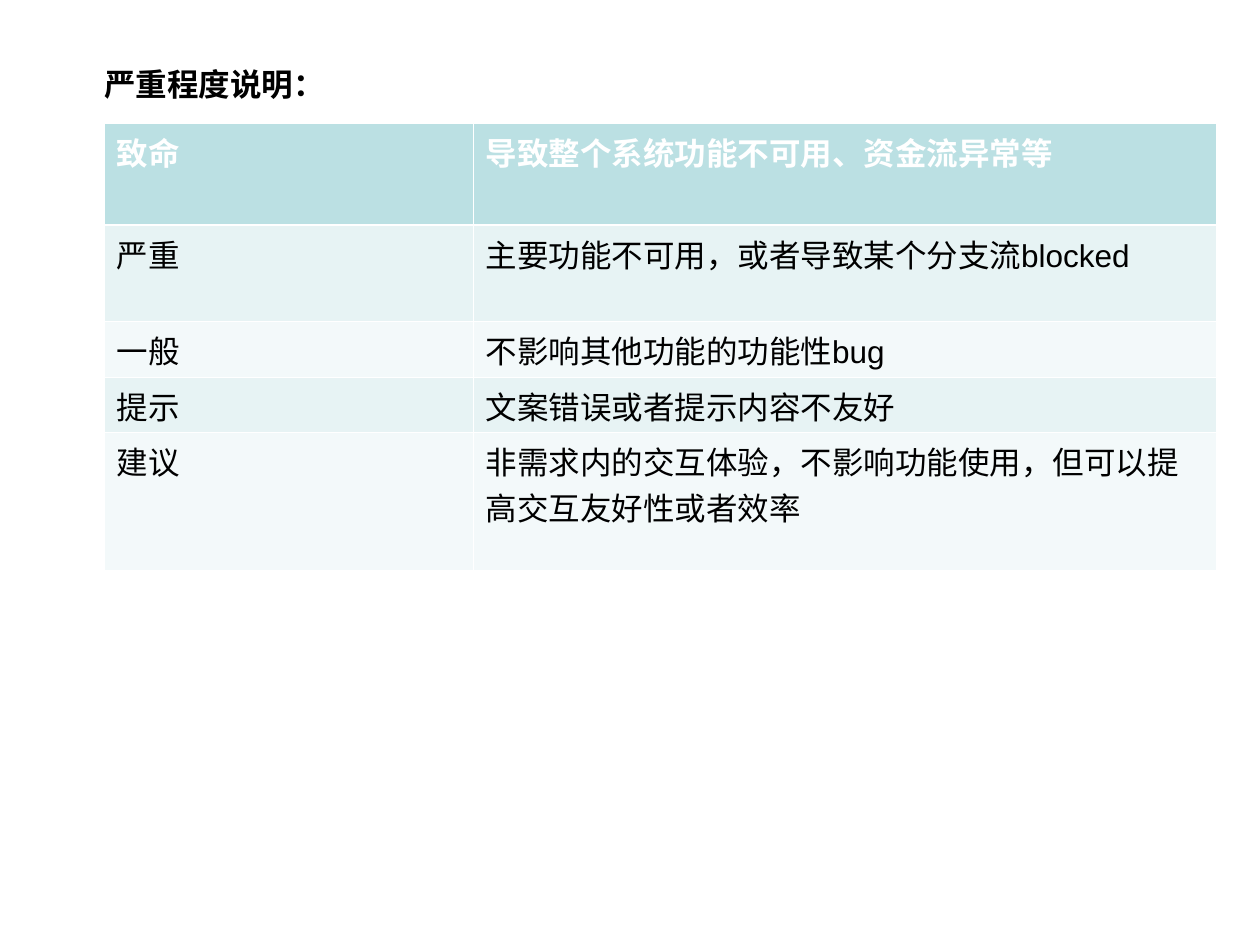
from dataclasses import dataclass

import pptx
import pptx.dml.color
import pptx.enum.text
import pptx.oxml
import pptx.oxml.ns
import pptx.util

RGB = pptx.dml.color.RGBColor
WHITE = RGB(0xFF, 0xFF, 0xFF)
BLACK = RGB(0x00, 0x00, 0x00)
TEAL = RGB(0xBB, 0xE0, 0xE3)
BANDS = (RGB(0xE7, 0xF3, 0xF4), RGB(0xF3, 0xF9, 0xFA))

SCALE = 914400 / 126
THIN, THICK = 0.45, 1.47
COLS = (369, 743)


@dataclass
class Level:
    name: str
    note: str
    high: int


LEVELS = (
    Level("致命", "导致整个系统功能不可用、资金流异常等", 102),
    Level("严重", "主要功能不可用，或者导致某个分支流blocked", 96),
    Level("一般", "不影响其他功能的功能性bug", 56),
    Level("提示", "文案错误或者提示内容不友好", 55),
    Level("建议", "非需求内的交互体验，不影响功能使用，但可以提高交互友好性或者效率", 138),
)


def px(size: int) -> int:
    return round(size * SCALE)


def write(frame, text: str, color: RGB, bold: bool) -> None:
    run = frame.paragraphs[0].add_run()
    run.text = text
    style = {"name": "Arial", "size": pptx.util.Pt(18), "bold": bold}
    for key, value in style.items():
        setattr(run.font, key, value)
    run.font.color.rgb = color


def edge(cell, side: str, width: float) -> None:
    line = pptx.oxml.parse_xml(
        f'<a:{side} {pptx.oxml.ns.nsdecls("a")} w="{pptx.util.Pt(width)}">'
        f'<a:solidFill><a:srgbClr val="{WHITE}"/></a:solidFill></a:{side}>'
    )
    cell._tc.get_or_add_tcPr().append(line)


def draw_cell(cell, text: str, row: int) -> None:
    head = row == 0
    write(cell.text_frame, text, WHITE if head else BLACK, head)
    # Borders come before the fill in the cell's XML
    widths = {
        "lnL": THIN,
        "lnR": THIN,
        "lnT": THICK if row == 1 else THIN,
        "lnB": THICK if head else THIN,
    }
    for side, width in widths.items():
        edge(cell, side, width)
    cell.fill.solid()
    cell.fill.fore_color.rgb = TEAL if head else BANDS[(row - 1) % 2]


def draw_title(slide, text: str) -> None:
    box = slide.shapes.add_textbox(px(92), px(59), px(1053), px(88))
    frame = box.text_frame
    style = {
        "word_wrap": True,
        "auto_size": pptx.enum.text.MSO_AUTO_SIZE.SHAPE_TO_FIT_TEXT,
    }
    for key, value in style.items():
        setattr(frame, key, value)
    write(frame, text, BLACK, True)


def draw_table(slide, levels: tuple[Level, ...]) -> None:
    high = sum(level.high for level in levels)
    table = slide.shapes.add_table(
        len(levels), len(COLS), px(104), px(123), px(sum(COLS)), px(high)
    ).table
    for col, width in zip(table.columns, COLS):
        col.width = px(width)
    for row, level in enumerate(levels):
        table.rows[row].height = px(level.high)
        for col, text in enumerate((level.name, level.note)):
            draw_cell(table.cell(row, col), text, row)


def main() -> None:
    deck = pptx.Presentation()
    deck.slide_width, deck.slide_height = px(1260), px(945)
    slide = deck.slides.add_slide(deck.slide_layouts[6])
    # Heading, then the severity levels
    draw_title(slide, "严重程度说明：")
    draw_table(slide, LEVELS)
    deck.save("out.pptx")


if __name__ == "__main__":
    main()
